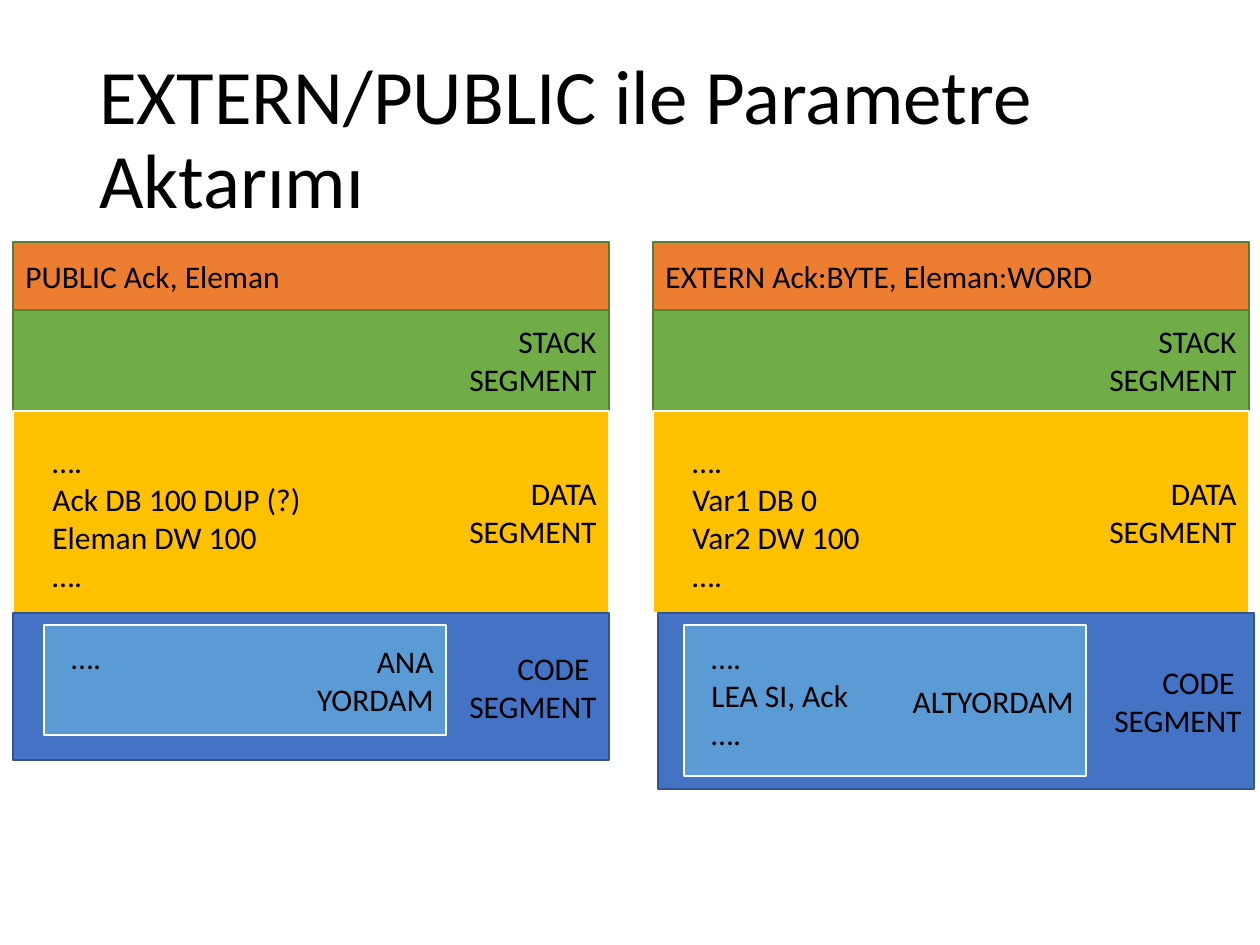
from pptx import Presentation
from pptx import util as u
from pptx.dml.color import RGBColor
from pptx.enum import shapes, text

BLACK = RGBColor(0x00, 0x00, 0x00)
WHITE = RGBColor(0xFF, 0xFF, 0xFF)
ORANGE = RGBColor(0xED, 0x7D, 0x31)
GREEN = RGBColor(0x70, 0xAD, 0x47)
MOSS = RGBColor(0x53, 0x80, 0x35)
GOLD = RGBColor(0xFF, 0xC0, 0x00)
BLUE = RGBColor(0x44, 0x72, 0xC4)
NAVY = RGBColor(0x32, 0x54, 0x91)
SKY = RGBColor(0x5B, 0x9B, 0xD5)

TITLE = "EXTERN/PUBLIC ile Parametre Aktarımı"
MODULES = [
    {
        "left": 13, "shift": 0, "code": 147, "inner": 110,
        "head": "PUBLIC Ack, Eleman",
        "data": ["….", "Ack DB 100 DUP (?)", "Eleman DW 100", "…."],
        "name": ["ANA", "YORDAM"],
        "body": ["…."],
        "wide": (277, 55),
        "wrap": False,
    },
    {
        "left": 653, "shift": 5, "code": 176, "inner": 151,
        "head": "EXTERN Ack:BYTE, Eleman:WORD",
        "data": ["….", "Var1 DB 0", "Var2 DW 100", "…."],
        "name": ["ALTYORDAM"],
        "body": ["….", "LEA SI, Ack", "…."],
        "wide": (195, 226),
        "wrap": True,
    },
]

WIDTH = 596
LEFT = text.PP_ALIGN.LEFT
RIGHT = text.PP_ALIGN.RIGHT


def px(n):
    return u.Emu(round(n * 914400 / 126))


def write(frame, lines, size=18, align=LEFT, space=None):
    for i, line in enumerate(lines):
        par = frame.paragraphs[0] if i == 0 else frame.add_paragraph()
        par.alignment = align
        if space:
            par.line_spacing = space
        run = par.add_run()
        run.text = line
        run.font.size = u.Pt(size)
        run.font.name = "Calibri"
        run.font.color.rgb = BLACK


def block(area, fill, edge, weight, lines, align=RIGHT):
    box = slide.shapes.add_shape(shapes.MSO_SHAPE.RECTANGLE, *map(px, area))
    box.shadow.inherit = False
    box.fill.solid()
    box.fill.fore_color.rgb = fill
    box.line.color.rgb = edge
    box.line.width = u.Pt(weight)
    frame = box.text_frame
    frame.word_wrap = True
    frame.vertical_anchor = text.MSO_ANCHOR.MIDDLE
    write(frame, lines, align=align)


def note(area, lines, wrap):
    frame = slide.shapes.add_textbox(*map(px, area)).text_frame
    frame.word_wrap = wrap
    frame.auto_size = text.MSO_AUTO_SIZE.SHAPE_TO_FIT_TEXT
    write(frame, lines)


deck = Presentation()
deck.slide_width, deck.slide_height = px(1260), px(945)
slide = deck.slides.add_slide(deck.slide_layouts[6])

title = slide.shapes.add_textbox(*map(px, (87, 50, 1086, 183))).text_frame
title.word_wrap = True
title.vertical_anchor = text.MSO_ANCHOR.MIDDLE
write(title, [TITLE], size=44, space=0.9)

for mod in MODULES:
    x = mod["left"]
    data, body = mod["wide"]
    block((x, 309, WIDTH, 102), GREEN, MOSS, 1, ["STACK", "SEGMENT"])
    block((x, 411, WIDTH, 202), GOLD, WHITE, 1.5, ["DATA", "SEGMENT"])
    block((x + mod["shift"], 613, WIDTH, mod["code"]), BLUE, NAVY, 1,
          ["CODE ", "SEGMENT"])
    block((x + 31, 625, 402, mod["inner"]), SKY, WHITE, 1.5, mod["name"])
    note((x + 46, 632, body, 13 + 38 * len(mod["body"])), mod["body"], mod["wrap"])
    block((x, 242, WIDTH, 68), ORANGE, MOSS, 1, [mod["head"]], LEFT)
    note((x + 27, 436, data, 13 + 38 * len(mod["data"])), mod["data"], False)

deck.save("out.pptx")
